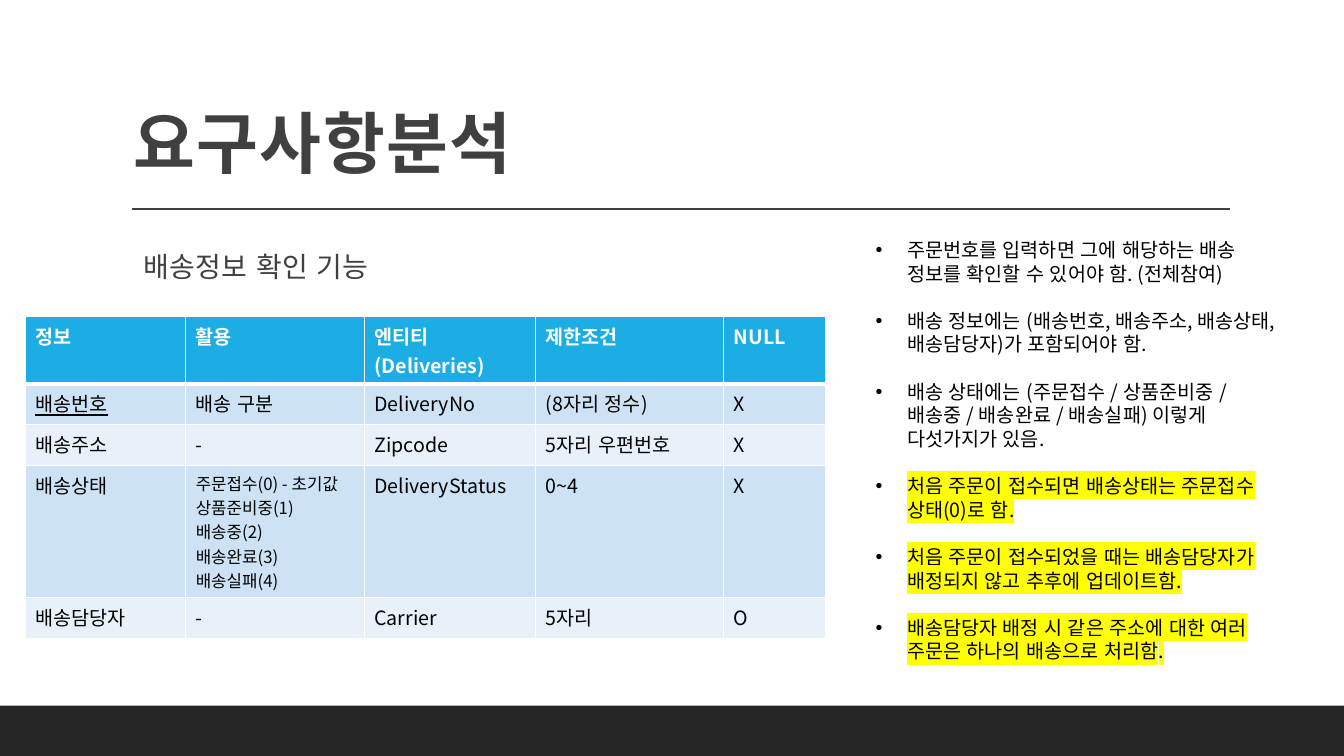
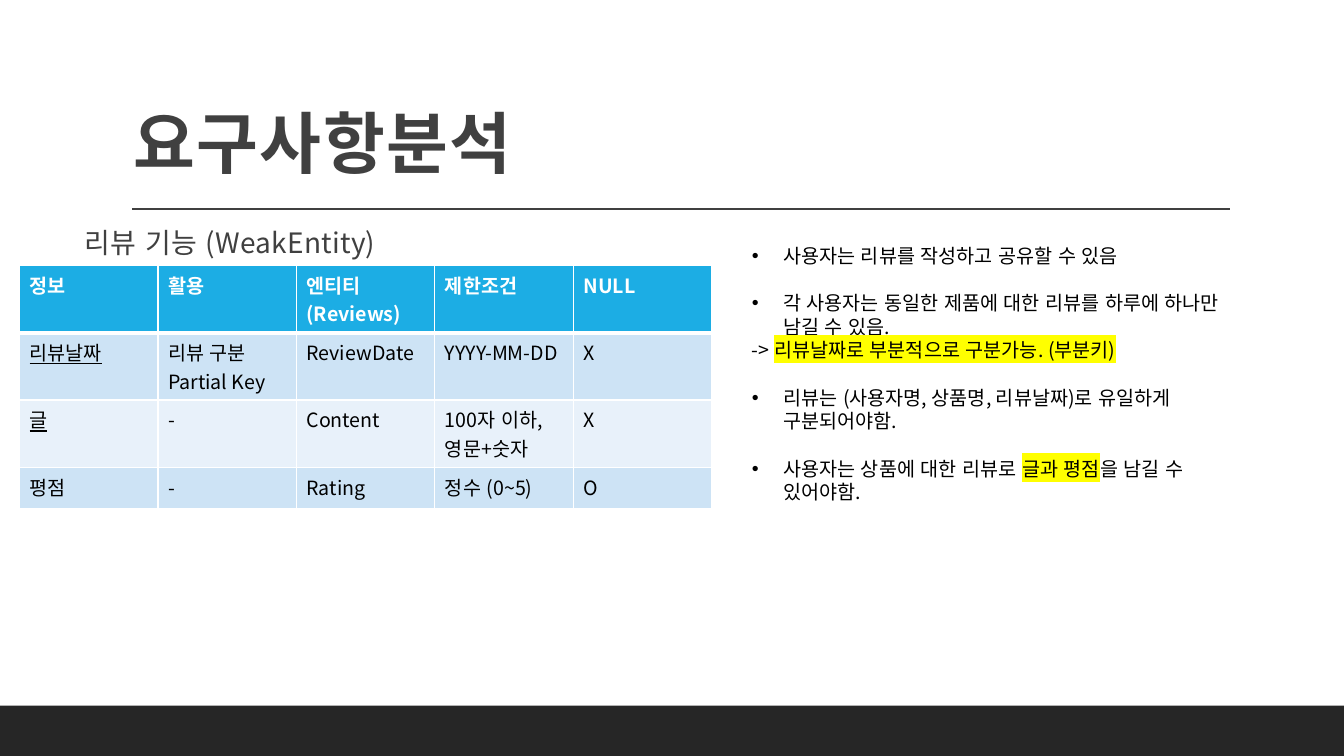
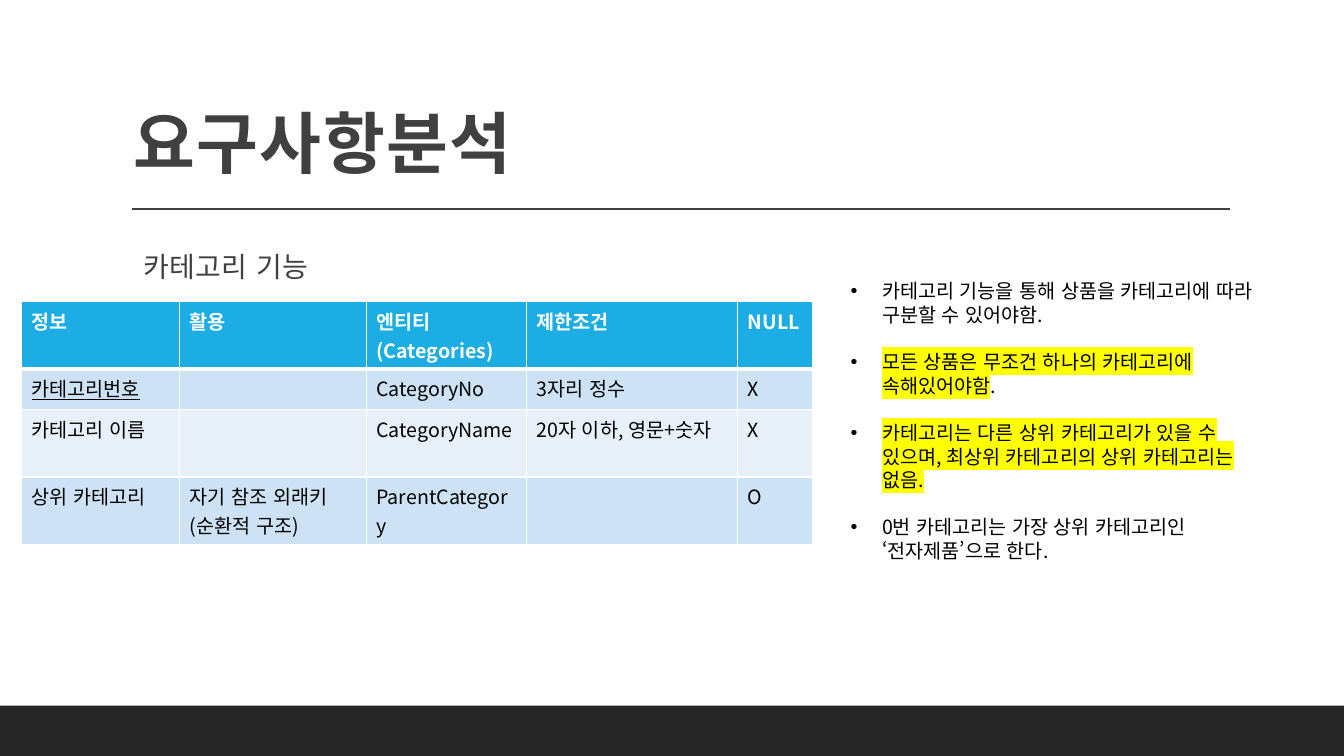
from lxml.etree import SubElement as Sub
from pptx import Presentation
from pptx.dml.color import RGBColor
from pptx.enum.lang import MSO_LANGUAGE_ID as Lang
from pptx.enum.shapes import MSO_CONNECTOR as Link, MSO_SHAPE as Shape
from pptx.enum.text import MSO_ANCHOR as Anchor, MSO_AUTO_SIZE as Fit, PP_ALIGN as Align
from pptx.oxml.ns import qn
from pptx.util import Cm, Pt

FACE = "Noto Sans CJK KR"
WIDE, HIGH = 33.87, 19.05
DARK, GREY, BLACK, WHITE = "262626", "404040", "000000", "FFFFFF"
BLUE, BANDS, MARK = "1CADE4", ("CDE3F5", "E8F1FA"), "FFFF00"
BASE = {"name": FACE, "language_id": Lang.KOREAN}
HEAD = {"size": Pt(48), "bold": True}
SUB = {"size": Pt(20), "bold": False}
BODY = {"size": Pt(14), "bold": False}


def rgb(code):
    return RGBColor.from_string(code)


def place(box):
    return [Cm(n) for n in box]


def write(para, text, form, ink=BLACK, mark=None, gap=0):
    """Add one run with its font, colour, highlight and letter spacing."""
    run = para.add_run()
    run.text = text
    for key, val in {**BASE, **form}.items():
        setattr(run.font, key, val)
    run.font.color.rgb = rgb(ink)
    props = run.font._element
    if gap:
        props.set("spc", str(gap))
    if mark:
        glow = Sub(props, qn("a:highlight"))
        Sub(glow, qn("a:srgbClr"), val=mark)
        props.find(qn("a:latin")).addprevious(glow)
    Sub(props, qn("a:ea"), typeface=FACE)


def pad(frame, left):
    form = {"margin_left": Cm(left), "margin_top": Cm(0.3),
            "margin_right": Cm(0.3), "margin_bottom": Cm(0.25),
            "word_wrap": True, "auto_size": Fit.NONE}
    for key, val in form.items():
        setattr(frame, key, val)


def base(slide):
    """Footer band, rule and title."""
    band = slide.shapes.add_shape(
        Shape.RECTANGLE, *place((0, HIGH - 1.27, WIDE, 1.27)))
    band.shadow.inherit = False
    band.fill.solid()
    band.fill.fore_color.rgb = rgb(DARK)
    band.line.fill.background()

    rule = slide.shapes.add_connector(
        Link.STRAIGHT, *place((3.33, 5.27, 31, 5.27)))
    rule.line.color.rgb = rgb(GREY)
    rule.line.width = Pt(1)
    Sub(rule._element.spPr, qn("a:effectLst"))

    title = slide.shapes.title
    title.left, title.top, title.width, title.height = place((3.05, 0.79, 27.94, 4.04))
    frame = title.text_frame
    pad(frame, 0.32)
    frame.vertical_anchor = Anchor.BOTTOM
    para = frame.paragraphs[0]
    para.alignment, para.line_spacing = Align.LEFT, 1.05
    write(para, "요구사항분석", HEAD, GREY, gap=100)


def topic(slide, spot, text):
    """Subtitle under the rule."""
    frame = slide.shapes.add_textbox(*place((*spot, 13.06, 10.44))).text_frame
    pad(frame, 0.57)
    para = frame.paragraphs[0]
    para.line_spacing = 1.14
    write(para, text, SUB, GREY, gap=20)


def edge(cell, side, wide):
    """White border on one side of a cell."""
    line = Sub(cell._tc.get_or_add_tcPr(), qn(f"a:ln{side}"), w=str(Pt(wide)))
    Sub(Sub(line, qn("a:solidFill")), qn("a:srgbClr"), val=WHITE)


def fill(cell, text, row):
    """One table cell; a leading _ underlines a key."""
    for side in "LRTB":
        thick = (row, side) in ((0, "B"), (1, "T"))
        edge(cell, side, 3 if thick else 1)
    cell.fill.solid()
    cell.fill.fore_color.rgb = rgb(BANDS[(row - 1) % 2] if row else BLUE)
    lines = text.lstrip("_").split("\n")
    form = {"size": Pt(12 if len(lines) > 2 else 14), "bold": row == 0,
            "underline": text.startswith("_")}
    for n, line in enumerate(lines):
        frame = cell.text_frame
        para = frame.add_paragraph() if n else frame.paragraphs[0]
        if line:
            write(para, line, form, BLACK if row else WHITE)
        else:
            Sub(para._p, qn("a:endParaRPr"), sz="1400")


def grid(slide, spot, cols, entity, rows):
    """Table of fields; the head row is the same but for the entity."""
    rows = [("정보", "활용", f"엔티티 ({entity})", "제한조건", "NULL"), *rows]
    high = 1.03
    table = slide.shapes.add_table(
        len(rows), len(cols), *place((*spot, sum(cols), high * len(rows)))).table
    for col, wide in zip(table.columns, cols):
        col.width = Cm(wide)
    for r, row in enumerate(rows):
        table.rows[r].height = Cm(high)
        for c, text in enumerate(row):
            fill(table.cell(r, c), text, r)


def notes(slide, box, items):
    """Bulleted list; text between bars is highlighted."""
    frame = slide.shapes.add_textbox(*place(box)).text_frame
    frame.word_wrap, frame.auto_size = True, Fit.SHAPE_TO_FIT_TEXT
    for n, item in enumerate(items):
        para = frame.add_paragraph() if n else frame.paragraphs[0]
        if not item.startswith("->"):
            props = para._p.get_or_add_pPr()
            props.set("marL", str(Cm(0.79)))
            props.set("indent", str(-Cm(0.79)))
            Sub(props, qn("a:buFont"), typeface="Arial")
            Sub(props, qn("a:buChar"), char="•")
            if n:
                para.space_before = Pt(17)
        for k, part in enumerate(item.split("|")):
            if part:
                write(para, part, BODY, mark=MARK if k % 2 else None)


PAGES = [
    {"topic": ((3.05, 5.87), "배송정보 확인 기능"),
     "grid": ((0.64, 7.98), (4.04, 4.5, 4.32, 4.74, 2.57), "Deliveries", [
         ("_배송번호", "배송 구분", "DeliveryNo", "(8자리 정수)", "X"),
         ("배송주소", "-", "Zipcode", "5자리 우편번호", "X"),
         ("배송상태", "주문접수(0) - 초기값\n상품준비중(1)\n배송중(2)\n배송완료(3)\n배송실패(4)",
          "DeliveryStatus", "0~4", "X"),
         ("배송담당자", "-", "Carrier", "5자리", "O")]),
     "notes": ((21.82, 5.87, 10.74, 12.22), [
         "주문번호를 입력하면 그에 해당하는 배송 정보를 확인할 수 있어야 함. (전체참여)",
         "배송 정보에는 (배송번호, 배송주소, 배송상태, 배송담당자)가 포함되어야 함.",
         "배송 상태에는 (주문접수 / 상품준비중 / 배송중 / 배송완료 / 배송실패) 이렇게 다섯가지가 있음.",
         "|처음 주문이 접수되면 배송상태는 주문접수 상태(0)로 함.|",
         "|처음 주문이 접수되었을 때는 배송담당자가 배정되지 않고 추후에 업데이트함.|",
         "|배송담당자 배정 시 같은 주소에 대한 여러 주문은 하나의 배송으로 처리함.|"])},
    {"topic": ((1.57, 5.26), "리뷰 기능 (WeakEntity)"),
     "grid": ((0.49, 6.69), (3.49,) * 5, "Reviews", [
         ("_리뷰날짜", "리뷰 구분\nPartial Key", "ReviewDate", "YYYY-MM-DD", "X"),
         ("_글", "-", "Content", "100자 이하, 영문+숫자", "X"),
         ("평점", "-", "Rating", "정수 (0~5)", "O")]),
     "notes": ((18.7, 6.02, 12.29, 6.83), [
         "사용자는 리뷰를 작성하고 공유할 수 있음",
         "각 사용자는 동일한 제품에 대한 리뷰를 하루에 하나만 남길 수 있음.",
         "-> |리뷰날짜로 부분적으로 구분가능. (부분키)|",
         "리뷰는 (사용자명, 상품명, 리뷰날짜)로 유일하게 구분되어야함.",
         "사용자는 상품에 대한 리뷰로 |글과 평점|을 남길 수 있어야함."])},
    {"topic": ((3.05, 5.87), "카테고리 기능"),
     "grid": ((0.54, 7.6), (3.99, 4.7, 4.04, 5.32, 1.88), "Categories", [
         ("_카테고리번호", "", "CategoryNo", "3자리 정수", "X"),
         ("카테고리 이름", "", "CategoryName", "20자 이하, 영문+숫자", "X"),
         ("상위 카테고리", "자기 참조 외래키 (순환적 구조)", "ParentCategory", "", "O")]),
     "notes": ((21.19, 6.91, 11.02, 7.44), [
         "카테고리 기능을 통해 상품을 카테고리에 따라 구분할 수 있어야함.",
         "|모든 상품은 무조건 하나의 카테고리에 속해있어야함|.",
         "|카테고리는 다른 상위 카테고리가 있을 수 있으며, 최상위 카테고리의 상위 카테고리는 없음.|",
         "0번 카테고리는 가장 상위 카테고리인 ‘전자제품’으로 한다."])},
]


def main():
    deck = Presentation()
    deck.slide_width, deck.slide_height = Cm(WIDE), Cm(HIGH)
    for page in PAGES:
        slide = deck.slides.add_slide(deck.slide_layouts[5])
        base(slide)
        topic(slide, *page["topic"])
        grid(slide, *page["grid"])
        notes(slide, *page["notes"])
    deck.save("out.pptx")


if __name__ == "__main__":
    main()
